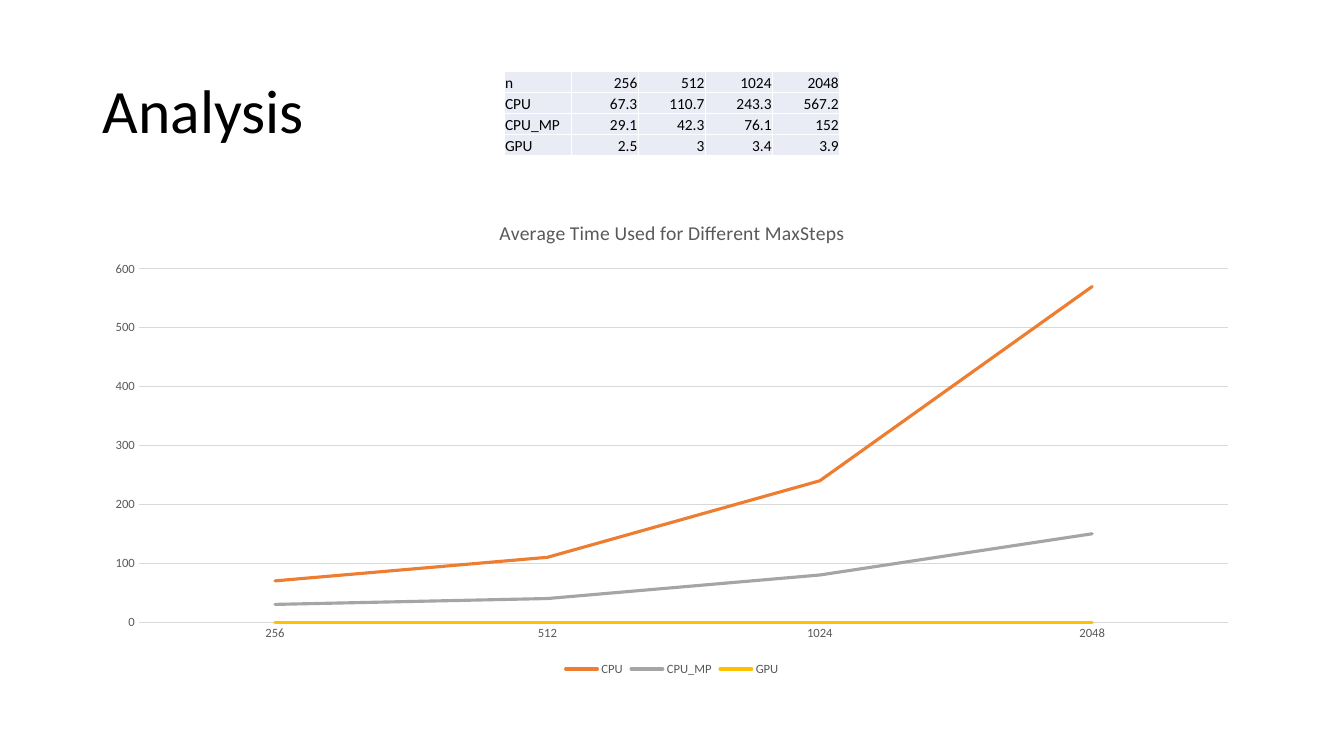
import dataclasses
import typing

import lxml.etree
import pptx
import pptx.chart.data
import pptx.dml.color
import pptx.enum.chart
import pptx.enum.text
import pptx.oxml.ns
import pptx.util

SLIDE_W = pptx.util.Inches(13.33)
SLIDE_H = pptx.util.Inches(7.5)
FONT = "Calibri"
COLORS = {
    "text": "000000",
    "label": "595959",
    "rule": "D9D9D9",
    "cell": "E9EBF5",
    "border": "FFFFFF",
    "CPU": "ED7D31",
    "CPU_MP": "A5A5A5",
    "GPU": "FFC000",
}
STEPS = ("256", "512", "1024", "2048")


@dataclasses.dataclass(frozen=True)
class PercentBox:
    left: float
    top: float
    width: float
    height: float

    def place(self) -> dict[str, int]:
        return {
            "left": int(self.left * SLIDE_W / 100),
            "top": int(self.top * SLIDE_H / 100),
            "width": int(self.width * SLIDE_W / 100),
            "height": int(self.height * SLIDE_H / 100),
        }


@dataclasses.dataclass(frozen=True)
class Timing:
    name: str
    values: tuple[float, ...]


TITLE_BOX = PercentBox(6.9, 5.33, 86.25, 19.33)
CHART_BOX = PercentBox(6.88, 26.6, 86.25, 63.4)
TABLE_BOX = PercentBox(37.5, 9.5, 25, 11.1)
TIMINGS = (
    Timing("CPU", (67.3, 110.7, 243.3, 567.2)),
    Timing("CPU_MP", (29.1, 42.3, 76.1, 152)),
    Timing("GPU", (2.5, 3, 3.4, 3.9)),
)


def apply(obj: typing.Any, formats: dict[str, typing.Any]) -> None:
    for name, value in formats.items():
        setattr(obj, name, value)


def rgb(color: str) -> pptx.dml.color.RGBColor:
    return pptx.dml.color.RGBColor.from_string(COLORS[color])


def set_font(font: typing.Any, size: float, color: str) -> None:
    apply(font, {"name": FONT, "size": pptx.util.Pt(size), "bold": False})
    font.color.rgb = rgb(color)


def set_line(line: typing.Any, width: float, color: str) -> None:
    line.color.rgb = rgb(color)
    line.width = pptx.util.Pt(width)


def add_title(s: typing.Any, text: str) -> None:
    sp = s.shapes.title
    apply(sp, TITLE_BOX.place())
    tf = sp.text_frame
    apply(tf, {
        "text": text,
        "word_wrap": True,
        "auto_size": pptx.enum.text.MSO_AUTO_SIZE.NONE,
        "vertical_anchor": pptx.enum.text.MSO_ANCHOR.MIDDLE,
    })
    p = tf.paragraphs[0]
    apply(p, {"alignment": pptx.enum.text.PP_ALIGN.LEFT, "line_spacing": 0.9})
    set_font(p.runs[0].font, 44, "text")


def add_borders(cell: typing.Any) -> None:
    qn = pptx.oxml.ns.qn
    tc_pr = cell._tc.get_or_add_tcPr()
    for i, side in enumerate(("lnL", "lnR", "lnT", "lnB")):
        ln = lxml.etree.Element(qn(f"a:{side}"), w=str(pptx.util.Pt(1)))
        fill = lxml.etree.SubElement(ln, qn("a:solidFill"))
        lxml.etree.SubElement(fill, qn("a:srgbClr"), val=COLORS["border"])
        tc_pr.insert(i, ln)


def format_cell(cell: typing.Any, text: str, is_label: bool) -> None:
    margin = pptx.util.Inches(0.01)
    apply(cell, {
        "text": text,
        "vertical_anchor": pptx.enum.text.MSO_ANCHOR.BOTTOM,
        "margin_left": margin,
        "margin_right": margin,
        "margin_top": margin,
        "margin_bottom": 0,
    })
    align = pptx.enum.text.PP_ALIGN
    p = cell.text_frame.paragraphs[0]
    p.alignment = align.LEFT if is_label else align.RIGHT
    set_font(p.runs[0].font, 11, "text")
    cell.fill.solid()
    cell.fill.fore_color.rgb = rgb("cell")
    add_borders(cell)


def add_timing_table(s: typing.Any) -> None:
    rows = [("n", *STEPS)] + [(t.name, *map(str, t.values)) for t in TIMINGS]
    place = TABLE_BOX.place()
    table = s.shapes.add_table(len(rows), len(rows[0]), **place).table
    apply(table, {"first_row": False, "horz_banding": False})
    for col in table.columns:
        col.width = place["width"] // len(rows[0])
    for i, row in enumerate(rows):
        table.rows[i].height = place["height"] // len(rows)
        for j, text in enumerate(row):
            format_cell(table.cell(i, j), text, j == 0)


def add_timing_chart(s: typing.Any, title: str) -> None:
    data = pptx.chart.data.CategoryChartData()
    data.categories = STEPS
    for timing in TIMINGS:
        data.add_series(timing.name, [round(v, -1) for v in timing.values])
    kinds = pptx.enum.chart
    chart = s.shapes.add_chart(
        kinds.XL_CHART_TYPE.LINE, *CHART_BOX.place().values(), data
    ).chart
    set_font(chart.font, 10, "text")

    chart.has_title = True
    tf = chart.chart_title.text_frame
    tf.text = title
    set_font(tf.paragraphs[0].runs[0].font, 14, "label")
    chart.chart_title.include_in_layout = False

    chart.has_legend = True
    apply(chart.legend, {
        "position": kinds.XL_LEGEND_POSITION.BOTTOM,
        "include_in_layout": False,
    })
    set_font(chart.legend.font, 9, "label")

    for axis in (chart.category_axis, chart.value_axis):
        apply(axis, {
            "major_tick_mark": kinds.XL_TICK_MARK.NONE,
            "minor_tick_mark": kinds.XL_TICK_MARK.NONE,
        })
        set_font(axis.tick_labels.font, 9, "label")
    set_line(chart.category_axis.format.line, 0.75, "rule")
    apply(chart.value_axis, {
        "minimum_scale": 0,
        "maximum_scale": 600,
        "major_unit": 100,
        "has_major_gridlines": True,
    })
    chart.value_axis.format.line.fill.background()
    set_line(chart.value_axis.major_gridlines.format.line, 0.75, "rule")

    chart.plots[0].vary_by_categories = False
    for series in chart.plots[0].series:
        series.smooth = False
        series.marker.style = kinds.XL_MARKER_STYLE.NONE
        set_line(series.format.line, 2.25, series.name)
        series.format.line._ln.set("cap", "rnd")


def main() -> None:
    prs = pptx.Presentation()
    apply(prs, {"slide_width": SLIDE_W, "slide_height": SLIDE_H})
    s = prs.slides.add_slide(prs.slide_layouts[5])
    add_title(s, "Analysis")
    add_timing_chart(s, "Average Time Used for Different MaxSteps")
    add_timing_table(s)
    prs.save("out.pptx")


if __name__ == "__main__":
    main()
